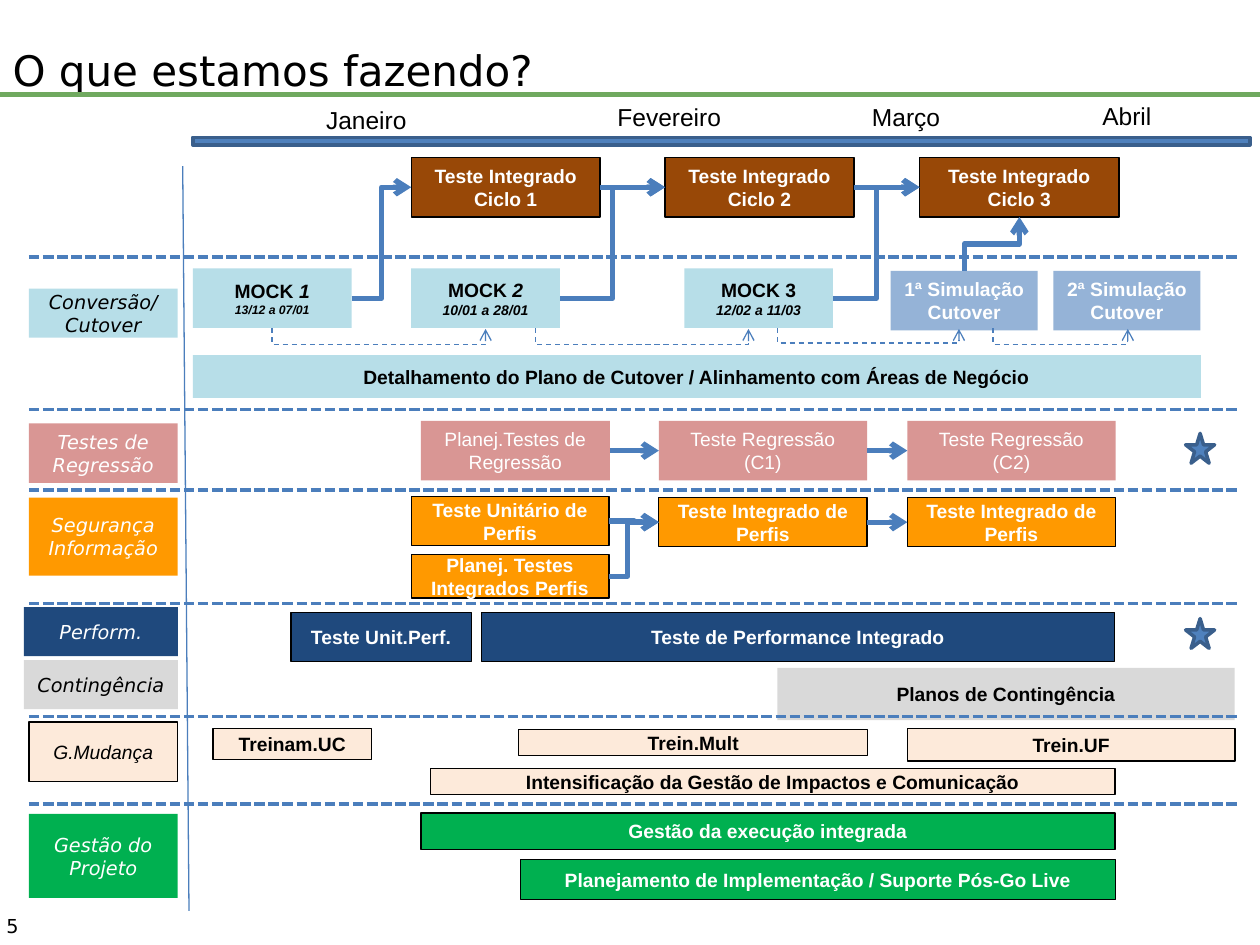
import collections

import pptx
import pptx.dml.color
import pptx.enum.dml
import pptx.enum.shapes
import pptx.enum.text
import pptx.oxml
import pptx.oxml.ns
import pptx.util

Pt = pptx.util.Pt
SHAPE = pptx.enum.shapes.MSO_SHAPE
CONNECTOR = pptx.enum.shapes.MSO_CONNECTOR
DASH = pptx.enum.dml.MSO_LINE
ANCHOR = pptx.enum.text.MSO_ANCHOR
ALIGN = pptx.enum.text.PP_ALIGN
TOP, LEFT, BOTTOM, RIGHT = range(4)

Box = collections.namedtuple("Box", "left top width height")
COLORS = {
    "black": "000000", "white": "FFFFFF", "rule": "70A95F", "flow": "4B7EBC",
    "axis": "4F81BD", "axis_edge": "3A5F8C", "brown": "984807", "aqua": "B7DEE8",
    "sky": "95B3D7", "rose": "D99694", "orange": "FF9900", "navy": "1F497D",
    "grey": "D9D9D9", "peach": "FDEADA", "green": "00B050",
}
LABEL = {"name": "DejaVu Sans", "size": Pt(11), "italic": True}
PLAIN = {"name": "Arial", "size": Pt(11)}
BOLD = {**PLAIN, "bold": True}
MONTH = {"name": "Arial", "size": Pt(14)}
# Columns shared by the lanes, measured from the lane's left edge
LABEL_W, FIRST, CYCLE_1, PLANNING, STAGE_1, STAGE_2, STAR = 85, 93.7, 218.5, 224, 360, 502, 661
STAGE_W = 119


def rgb(name):
    return pptx.dml.color.RGBColor.from_string(COLORS[name])


def apply(target, values):
    for key, value in values.items():
        setattr(target, key, value)


def write(paragraph, text, font, color="black"):
    run = paragraph.add_run()
    run.text = text
    apply(run.font, font)
    run.font.color.rgb = rgb(color)


def add_text(slide, x, y, w, h, text, font, inset_x=7.2):
    frame = slide.shapes.add_textbox(Pt(x), Pt(y), Pt(w), Pt(h)).text_frame
    apply(frame, {"word_wrap": False, "margin_left": Pt(inset_x)})
    write(frame.paragraphs[0], text, font)


def add_filled(slide, box, x, y, w, h, fill, edge=None, width=0.75, preset=SHAPE.RECTANGLE):
    shape = slide.shapes.add_shape(preset, Pt(box.left + x), Pt(box.top + y), Pt(w), Pt(h))
    shape.shadow.inherit = False
    shape.fill.solid()
    shape.fill.fore_color.rgb = rgb(fill)
    if edge:
        shape.line.color.rgb = rgb(edge)
        shape.line.width = Pt(width)
    else:
        shape.line.fill.background()
    return shape


def add_bar(slide, box, x, y, w, h, text, fill, color="white", font=BOLD, edge="black"):
    bar = add_filled(slide, box, x, y, w, h, fill, edge)
    frame = bar.text_frame
    apply(frame, {"word_wrap": True, "vertical_anchor": ANCHOR.MIDDLE})
    if edge:
        apply(frame, {f"margin_{side}": Pt(5.76) for side in ("left", "top", "right", "bottom")})
    frame.paragraphs[0].alignment = ALIGN.CENTER
    if text:
        write(frame.paragraphs[0], text, font, color)
    return bar


def add_star(slide, box, y):
    add_filled(slide, box, STAR, y, 16.6, 17, "axis", "axis_edge", 2, SHAPE.STAR_5_POINT)


def format_line(line, width, color="flow", dash=None, arrow=False):
    line.color.rgb = rgb(color)
    line.width = Pt(width)
    if dash:
        line.dash_style = dash
    if arrow:
        tail = pptx.oxml.parse_xml(f'<a:tailEnd {pptx.oxml.ns.nsdecls("a")} type="arrow"/>')
        line._get_or_add_ln().append(tail)


def add_line(slide, x1, y1, x2, y2, width, kind=CONNECTOR.STRAIGHT, **look):
    line = slide.shapes.add_connector(kind, Pt(x1), Pt(y1), Pt(x2), Pt(y2))
    format_line(line.line, width, **look)
    line._element.spPr.append(
        pptx.oxml.parse_xml(f'<a:effectLst {pptx.oxml.ns.nsdecls("a")}/>'))
    return line


def link(slide, source, target, kind=CONNECTOR.STRAIGHT, bend=None):
    """Arrow from the right side of one bar to the left side of another."""
    arrow = add_line(slide, 0, 0, 1, 1, 3, kind, arrow=True)
    arrow.begin_connect(source, RIGHT)
    arrow.end_connect(target, LEFT)
    if bend:
        guides = arrow._element.spPr.prstGeom.get_or_add_avLst()
        guides.append(pptx.oxml.parse_xml(
            f'<a:gd {pptx.oxml.ns.nsdecls("a")} name="adj1" fmla="val {bend}"/>'))


def add_route(slide, box, points, width, dash=None):
    """Arrow through several corners, starting and ending vertically."""
    start, *rest = [(Pt(box.left + x), Pt(box.top + y)) for x, y in points]
    builder = slide.shapes.build_freeform(*start)
    builder.add_line_segments(rest, close=False)
    route = builder.convert_to_shape()
    route.shadow.inherit = False
    route.fill.background()
    format_line(route.line, width, dash=dash, arrow=True)


def add_header(slide, box):
    add_line(slide, box.left, 54, box.left + box.width, 54, 3, color="rule")
    title = slide.shapes.title
    apply(title, {"left": Pt(box.left), "top": Pt(box.top), "width": Pt(576),
                  "height": Pt(box.height)})
    apply(title.text_frame, {"vertical_anchor": ANCHOR.BOTTOM, "word_wrap": True,
                             "auto_size": pptx.enum.text.MSO_AUTO_SIZE.NONE})
    title.text_frame.paragraphs[0].alignment = ALIGN.LEFT
    write(title.text_frame.paragraphs[0], "O que estamos fazendo?",
          {"name": "DejaVu Sans", "size": Pt(24)})


def add_timeline(slide, box):
    add_filled(slide, box, 0, 24.5, box.width, 4.4, "axis", "axis_edge", 2)
    for month, x, y in [("Janeiro", 69, 2.2), ("Fevereiro", 235.5, 0.5),
                        ("Março", 381, 0.5), ("Abril", 512.6, 0)]:
        add_text(slide, box.left + x, box.top + y, 96, 24.5, month, MONTH)


def add_integrated_tests(slide, box):
    cycles = [add_bar(slide, box, x, 0, w, 34, f"Teste Integrado Ciclo {number}", "brown")
              for number, (x, w) in enumerate([(CYCLE_1, 108), (363.5, 108), (509, 114)], 1)]
    for source, target in zip(cycles, cycles[1:]):
        link(slide, source, target)
    return cycles


def add_cutover(slide, box, cycles):
    add_bar(slide, box, 0, 18, LABEL_W, 28, "Conversão/ Cutover", "aqua", "black", LABEL, None)
    mocks = [(FIRST, 90.7, "1", True, "13/12 a 07/01", 7),
             (CYCLE_1, 85, "2", True, "10/01 a 28/01", 8),
             (374.5, 85, "3", False, "12/02 a 11/03", 8)]
    for (x, w, number, italic, dates, size), cycle in zip(mocks, cycles):
        mock = add_bar(slide, box, x, 6.4, w, 34, "", "aqua", edge=None)
        heading = mock.text_frame.paragraphs[0]
        write(heading, "MOCK ", BOLD)
        write(heading, number, {**BOLD, "italic": italic})
        period = mock.text_frame.add_paragraph()
        period.alignment = ALIGN.CENTER
        write(period, dates, {**BOLD, "size": Pt(size), "italic": True})
        link(slide, mock, cycle, CONNECTOR.ELBOW)
    for x, text in [(492.5, "1ª Simulação Cutover"), (585.5, "2ª Simulação Cutover")]:
        add_bar(slide, box, x, 7.8, 84, 34, text, "sky", edge=None)
    add_bar(slide, box, FIRST, 56, 576, 24.5,
            "Detalhamento do Plano de Cutover / Alinhamento com Áreas de Negócio",
            "aqua", "black", edge=None)
    # Dashed returns below the mocks and simulations
    for x1, x2, low in [(139, 261, 50), (289.5, 411.2, 50), (427.7, 531.5, 49), (551, 628, 50)]:
        add_route(slide, box, [(x1, 40.6), (x1, low), (x2, low), (x2, 41)], 0.75, DASH.DASH)
    add_route(slide, box, [(534.5, 7.8), (534.5, -7.6), (566, -7.6), (566, -23)], 3)


def add_regression(slide, box):
    add_bar(slide, box, 0, 8, LABEL_W, 34, "Testes de Regressão", "rose", "white", LABEL, None)
    stages = [add_bar(slide, box, x, 6.5, w, 34, text, "rose", "white", PLAIN, None)
              for x, w, text in [(PLANNING, 108, "Planej.Testes de Regressão"),
                                 (STAGE_1, STAGE_W, "Teste Regressão (C1)"),
                                 (STAGE_2, STAGE_W, "Teste Regressão (C2)")]]
    for source, target in zip(stages, stages[1:]):
        link(slide, source, target)
    add_star(slide, box, 13.7)


def add_security(slide, box):
    add_bar(slide, box, 0, 4.4, LABEL_W, 44.6, "Segurança Informação", "orange", "white",
            LABEL, None)
    unit = add_bar(slide, box, CYCLE_1, 3.7, 113, 28, "Teste Unitário de Perfis", "orange")
    plan = add_bar(slide, box, CYCLE_1, 36.8, 113, 25, "Planej. Testes Integrados Perfis",
                   "orange")
    first, second = [add_bar(slide, box, x, 4.4, STAGE_W, 28, "Teste Integrado de Perfis",
                             "orange") for x in (STAGE_1, STAGE_2)]
    link(slide, unit, first, CONNECTOR.ELBOW)
    link(slide, plan, first, CONNECTOR.ELBOW, bend=36800)
    link(slide, first, second)


def add_performance(slide, box):
    add_bar(slide, box, -2.8, 2, 88, 28, "Perform.", "navy", "white", LABEL, None)
    add_bar(slide, box, -2.8, 32.3, 88, 28, "Contingência", "grey", "black", LABEL, None)
    add_bar(slide, box, 149.8, 5, 103, 28, "Teste Unit.Perf.", "navy")
    add_bar(slide, box, 258.5, 5, 362, 28, "Teste de Performance Integrado", "navy")
    add_bar(slide, box, 427.7, 36.6, 261.4, 30, "Planos de Contingência", "grey", "black",
            edge=None)
    add_star(slide, box, 8.5)


def add_change(slide, box):
    add_bar(slide, box, 0, 3, LABEL_W, 34, "G.Mudança", "peach", "black",
            {**PLAIN, "italic": True})
    for x, y, w, h, text in [
            (105.2, 6.7, 90.7, 18, "Treinam.UC"), (280, 7.4, 199.4, 15, "Trein.Mult"),
            (STAGE_2, 6.7, 187.2, 18.7, "Trein.UF"),
            (229.7, 29.7, 391, 15, "Intensificação da Gestão de Impactos e Comunicação")]:
        add_bar(slide, box, x, y, w, h, text, "peach", "black")


def add_project(slide, box):
    add_bar(slide, box, 0, 5.6, LABEL_W, 48, "Gestão do Projeto", "green", "white", LABEL, None)
    add_bar(slide, box, PLANNING, 5, 396.7, 21, "Gestão da execução integrada", "green")
    add_bar(slide, box, 281, 31.5, 340, 23,
            "Planejamento de Implementação / Suporte Pós-Go Live", "green")


def main():
    deck = pptx.Presentation()
    apply(deck, {"slide_width": Pt(720), "slide_height": Pt(540)})
    slide = deck.slides.add_slide(deck.slide_layouts[5])
    add_header(slide, Box(0, -10.8, 720, 68.4))
    add_timeline(slide, Box(110.2, 54, 604, 29))
    # Lanes, from top to bottom
    edges = [90, 147, 234, 280, 345, 409.5, 459.5, 520]
    lanes = [Box(16.5, top, 691.5, low - top) for top, low in zip(edges, edges[1:])]
    cycles = add_integrated_tests(slide, lanes[0])
    add_cutover(slide, lanes[1], cycles)
    for add_lane, lane in zip([add_regression, add_security, add_performance, add_change,
                               add_project], lanes[2:]):
        add_lane(slide, lane)
    # Lane dividers and the line beside the labels
    for lane in lanes[1:]:
        add_line(slide, lane.left, lane.top, lane.left + lane.width, lane.top, 2,
                 dash=DASH.SQUARE_DOT)
    add_line(slide, 104.4, 95, 108, 520.5, 0.75)
    # Page number
    add_text(slide, 0, 519, 36, 21, "5", {"name": "DejaVu Sans", "size": Pt(11)}, 3.6)
    deck.save("out.pptx")


if __name__ == "__main__":
    main()
